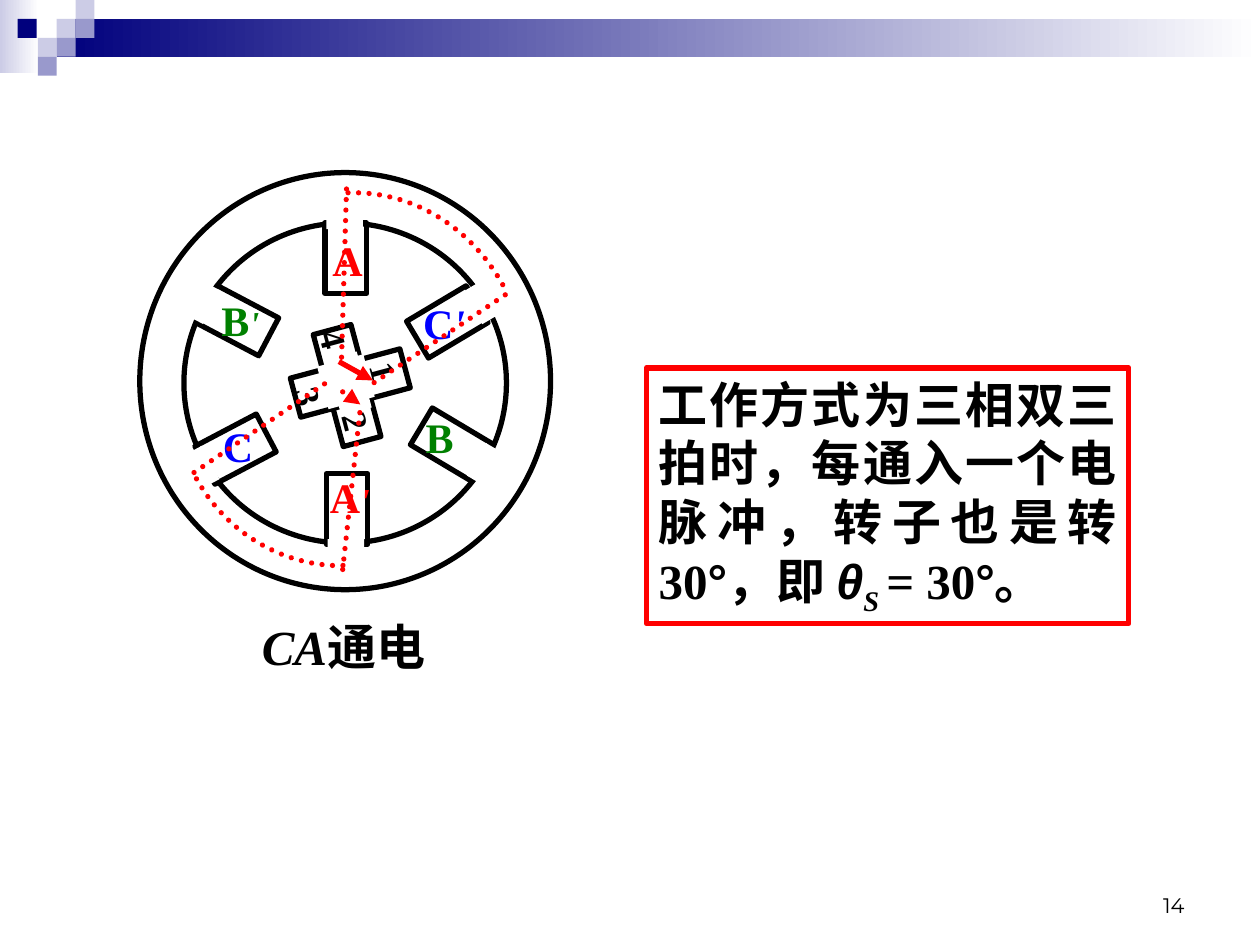
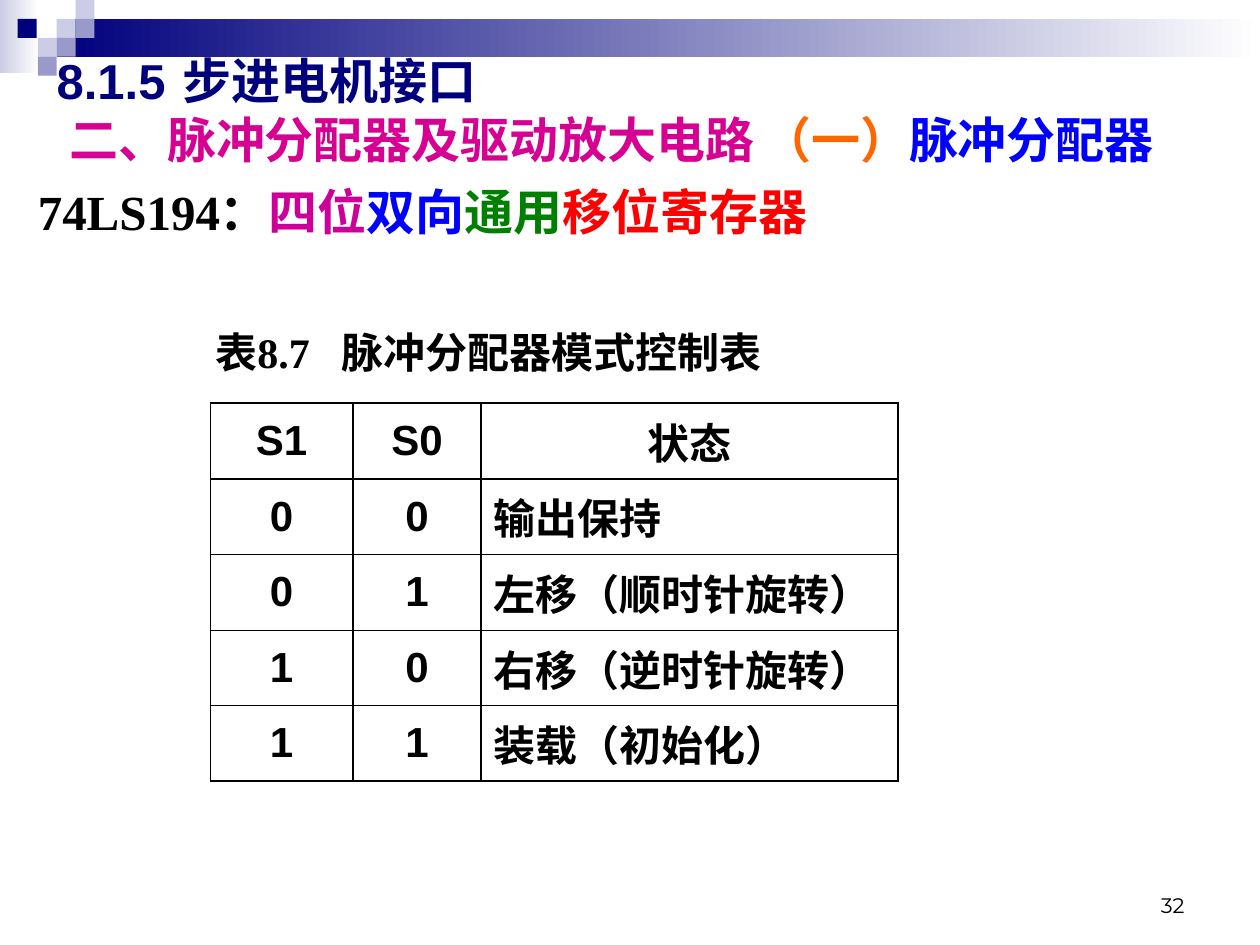
from dataclasses import dataclass

from lxml import etree
from pptx import Presentation
from pptx import util as u
from pptx.dml.color import RGBColor
from pptx.enum import dml, shapes, text
from pptx.oxml import ns

In = u.Inches
RECT = shapes.MSO_SHAPE.RECTANGLE
OVAL = shapes.MSO_SHAPE.OVAL


@dataclass(frozen=True)
class Theme:
    ink: str = "000000"
    paper: str = "FFFFFF"
    navy: str = "00007D"
    lilac: str = "9999CC"
    mist: str = "CCCCE6"
    red: str = "FF0000"
    blue: str = "0000FF"
    green: str = "008000"
    purple: str = "CC0099"
    magenta: str = "D60093"
    orange: str = "FF6600"
    serif: str = "Times New Roman"
    sans: str = "Arial"
    digits: str = "Montserrat"
    large: int = 28
    medium: int = 24
    small: int = 20
    footer: int = 12
    stroke: float = 3
    rule: float = 1.08
    hairline: float = 0.45


T = Theme()


def rgb(colour):
    return RGBColor.from_string(colour)


def child(parent, tag, **attributes):
    element = etree.SubElement(parent, ns.qn(tag))
    for key, value in attributes.items():
        element.set(key, str(value))
    return element


def bezier(start, ctrl1, ctrl2, end, steps=24):
    """Points along a cubic curve, both ends included."""
    points = []
    for step in range(steps + 1):
        t = step / steps
        weights = ((1 - t) ** 3, 3 * t * (1 - t) ** 2, 3 * t * t * (1 - t), t ** 3)
        points.append(tuple(sum(w * p[axis] for w, p in zip(weights, (start, ctrl1, ctrl2, end)))
                            for axis in (0, 1)))
    return points


class Deck:
    def __init__(self):
        self.prs = Presentation()
        self.prs.slide_width, self.prs.slide_height = In(10), In(7.5)
        self.slide = None

    def new_slide(self, layout, number):
        self.slide = self.prs.slides.add_slide(self.prs.slide_layouts[layout])
        self.band()
        self.textbox((7.17, 6.83, 2.33, 0.5), [(str(number), {})], size=T.footer,
                     font=T.digits, bold=False, align=text.PP_ALIGN.RIGHT,
                     anchor=text.MSO_ANCHOR.BOTTOM, wrap=True)

    def band(self):
        self.shape((0, 0, 0.31, 0.58), fill=(T.mist, T.paper))
        self.shape((0.45, 0.15, 9.55, 0.3), fill=(T.navy, T.paper))
        for left, top, colour in ((0.45, 0.15, T.mist), (0.6, 0, T.mist), (0.6, 0.15, T.lilac),
                                  (0.3, 0.3, T.mist), (0.14, 0.15, T.navy),
                                  (0.45, 0.3, T.lilac), (0.3, 0.45, T.lilac)):
            self.shape((left, top, 0.15, 0.15), fill=colour)

    def shape(self, box, kind=RECT, fill=None, line=None, rotation=0):
        """Add a preset shape; a pair of fill colours makes a left-to-right gradient."""
        shape = self.slide.shapes.add_shape(kind, *map(In, box))
        shape.shadow.inherit = False
        shape.rotation = rotation
        if fill is None:
            shape.fill.background()
        elif isinstance(fill, tuple):
            shape.fill.gradient()
            shape.fill.gradient_angle = 0
            for stop, colour, position in zip(shape.fill.gradient_stops, fill, (0, 1)):
                stop.color.rgb = rgb(colour)
                stop.position = position
        else:
            shape.fill.solid()
            shape.fill.fore_color.rgb = rgb(fill)
        if line:
            self.stroke(shape.line, line)
        else:
            shape.line.fill.background()
        return shape

    def stroke(self, line, colour, dotted=False):
        line.color.rgb = rgb(colour)
        line.width = u.Pt(T.stroke)
        if dotted:
            line.dash_style = dml.MSO_LINE.ROUND_DOT
            line._get_or_add_ln().set("cap", "rnd")

    def connector(self, start, end, dotted=True, arrow=False):
        link = self.slide.shapes.add_connector(shapes.MSO_CONNECTOR.STRAIGHT,
                                               *map(In, start + end))
        self.stroke(link.line, T.red, dotted)
        if arrow:
            child(link.line._get_or_add_ln(), "a:tailEnd", type="triangle")
        child(link._element.spPr, "a:effectLst")

    def dotted_arc(self, points):
        points = [(In(x), In(y)) for x, y in points]
        builder = self.slide.shapes.build_freeform(*points[0])
        builder.add_line_segments(points[1:], close=False)
        arc = builder.convert_to_shape()
        arc.shadow.inherit = False
        arc.fill.background()
        self.stroke(arc.line, T.red, dotted=True)

    def add_runs(self, paragraph, runs, size=T.large, font=T.serif, colour=T.ink, bold=True,
                 align=text.PP_ALIGN.LEFT, tab=None, indent=0):
        """Fill a paragraph; each run is (words, what differs from the base style)."""
        props = paragraph._p.get_or_add_pPr()
        props.set("marL", str(In(indent)))
        props.set("indent", "0")
        child(props, "a:buNone")
        if tab:
            child(child(props, "a:tabLst"), "a:tab", pos=In(tab), algn="l")
        paragraph.alignment = align
        paragraph.space_before = u.Pt(0)
        for words, change in runs:
            run = paragraph.add_run()
            run.text = words
            run.font.size = u.Pt(change.get("size", size))
            run.font.name = change.get("font", font)
            run.font.bold = bold
            run.font.italic = change.get("italic", False)
            run.font.color.rgb = rgb(change.get("colour", colour))
            if "baseline" in change:
                run._r.get_or_add_rPr().set("baseline", str(change["baseline"]))

    def textbox(self, box, runs, rotation=0, wrap=False, anchor=text.MSO_ANCHOR.TOP, **style):
        label = self.slide.shapes.add_textbox(*map(In, box))
        label.rotation = rotation
        frame = label.text_frame
        frame.word_wrap = wrap
        frame.vertical_anchor = anchor
        if anchor == text.MSO_ANCHOR.TOP:
            frame.auto_size = text.MSO_AUTO_SIZE.SHAPE_TO_FIT_TEXT
        self.add_runs(frame.paragraphs[0], runs, **style)

    def placeholder(self, index, box, paragraphs, anchor, **style):
        """Move a template placeholder and fill it with (runs, paragraph style) pairs."""
        holder = self.slide.placeholders[index]
        holder.left, holder.top, holder.width, holder.height = map(In, box)
        frame = holder.text_frame
        frame.auto_size = text.MSO_AUTO_SIZE.NONE
        frame.vertical_anchor = anchor
        for position, (runs, own) in enumerate(paragraphs):
            paragraph = frame.add_paragraph() if position else frame.paragraphs[0]
            self.add_runs(paragraph, runs, **style, **own)

    def table(self, box, widths, rows):
        grid = self.slide.shapes.add_table(len(rows), len(widths), *map(In, box)).table
        grid.first_row = grid.horz_banding = False
        for column, width in zip(grid.columns, widths):
            column.width = In(width)
        for r, row in enumerate(rows):
            grid.rows[r].height = In(box[3] / len(rows))
            for c, words in enumerate(row):
                cell = grid.cell(r, c)
                cell.vertical_anchor = text.MSO_ANCHOR.MIDDLE
                listed = r > 0 and c == len(row) - 1
                self.add_runs(cell.text_frame.paragraphs[0], [(words, {})], size=T.medium,
                              font=T.sans,
                              align=text.PP_ALIGN.LEFT if listed else text.PP_ALIGN.CENTER)
                above = T.rule if r < 2 else T.hairline
                below = T.rule if r in (0, len(rows) - 1) else T.hairline
                props = cell._tc.get_or_add_tcPr()
                for side, width in (("L", T.rule), ("R", T.rule), ("T", above), ("B", below)):
                    edge = child(props, f"a:ln{side}", w=u.Pt(width))
                    child(child(edge, "a:solidFill"), "a:srgbClr", val=T.ink)
                cell.fill.background()


def stator(deck):
    deck.shape((1.46, 1.77, 2.56, 2.54), OVAL, line=T.ink)
    deck.shape((1.11, 1.37, 3.26, 3.31), OVAL, line=T.ink)
    # Each pole: its outline, the white gap that opens it, the shared rotation
    poles = (((2.58, 1.77, 0.33, 0.56), (2.59, 1.59, 0.29, 0.23), 0),
             ((2.59, 3.76, 0.33, 0.56), (2.6, 4.28, 0.29, 0.23), 0),
             ((3.38, 2.28, 0.34, 0.55), (3.7, 2.27, 0.3, 0.23), 239.2),
             ((1.72, 2.27, 0.34, 0.55), (1.43, 2.27, 0.3, 0.23), 297.8),
             ((3.41, 3.25, 0.34, 0.55), (3.73, 3.59, 0.3, 0.23), 120.8),
             ((1.7, 3.29, 0.34, 0.55), (1.42, 3.61, 0.3, 0.23), 62.2))
    for pole, gap, rotation in poles:
        deck.shape(pole, line=T.ink, rotation=rotation)
        deck.shape(gap, fill=T.paper, rotation=rotation)
    for phase, prime_size, left, top, width, colour in (
            ("C", None, 1.67, 3.29, 0.43, T.blue), ("A", T.small, 2.52, 3.69, 0.52, T.red),
            ("B", None, 3.28, 3.22, 0.42, T.green), ("B", T.small, 1.66, 2.29, 0.5, T.green),
            ("C", T.medium, 3.26, 2.31, 0.53, T.blue), ("A", None, 2.54, 1.81, 0.44, T.red)):
        runs = [(phase, {})]
        if prime_size:
            runs.append(("'", {"size": prime_size, "italic": True}))
        deck.textbox((left, top, width, 0.5), runs, size=T.medium, colour=colour)


def rotor(deck):
    tilt = 75

    def tooth_number(digit, left, top):
        deck.textbox((left, top, 0.34, 0.44), [(digit, {})], rotation=tilt, size=T.small)

    deck.shape((2.62, 2.59, 0.32, 0.9), line=T.ink, rotation=tilt)
    deck.shape((2.6, 2.6, 0.31, 0.92), line=T.ink, rotation=tilt + 270)
    deck.shape((2.49, 3.07, 0.6, 0.21), fill=T.paper, rotation=tilt)
    deck.shape((2.54, 2.92, 0.46, 0.25), fill=T.paper, rotation=tilt)
    tooth_number("3", 2.28, 2.93)
    tooth_number("4", 2.48, 2.48)
    tooth_number("1", 2.88, 2.73)
    deck.shape((2.57, 2.84, 0.35, 0.38), fill=T.paper, rotation=tilt)
    tooth_number("2", 2.66, 3.13)


def flux_paths(deck):
    deck.dotted_arc(bezier((3.99, 2.26), (3.74, 1.81), (3.29, 1.53), (2.81, 1.53))
                    + [(2.72, 1.53)])
    deck.dotted_arc(bezier((1.56, 3.8), (1.8, 4.23), (2.24, 4.49), (2.71, 4.49))
                    + [(2.76, 4.48)])
    deck.connector((1.54, 3.75), (2.6, 3.03))
    deck.connector((2.72, 4.52), (2.86, 3.24))
    deck.connector((2.72, 3.11), (2.86, 3.21), arrow=True)
    deck.connector((2.69, 2.87), (2.96, 3.02), dotted=False, arrow=True)
    deck.connector((2.75, 1.5), (2.71, 2.87))
    deck.connector((4.01, 2.34), (2.92, 3.07))


def motor_slide(deck):
    deck.new_slide(6, 14)
    note = deck.shape((5.13, 2.92, 3.83, 2.03), line=T.red).text_frame
    note.word_wrap = True
    note.vertical_anchor = text.MSO_ANCHOR.TOP
    degree = ("°", {"font": T.sans})
    deck.add_runs(note.paragraphs[0], [
        ("工作方式为三相双三拍时，每通入一个电脉冲，转子也是转30", {}), degree, ("，即 ", {}),
        ("θ", {"font": T.sans, "italic": True}), ("S ", {"italic": True, "baseline": -25000}),
        ("= 30", {}), degree, ("。", {})], align=text.PP_ALIGN.JUSTIFY)
    deck.textbox((1.98, 4.84, 1.6, 0.57), [("CA", {"italic": True}), ("通电", {})],
                 align=text.PP_ALIGN.JUSTIFY, wrap=True)
    stator(deck)
    rotor(deck)
    flux_paths(deck)


def register_slide(deck):
    deck.new_slide(1, 32)
    deck.placeholder(1, (0.2, 1.39, 9.61, 5.91), [([
        ("74LS194：", {}), ("四位", {"colour": T.purple}), ("双向", {"colour": T.blue}),
        ("通用", {"colour": T.green}), ("移位寄存器", {"colour": T.red})], {})],
        text.MSO_ANCHOR.TOP)
    deck.placeholder(0, (0.35, 0.36, 9.37, 1.02), [
        ([("8.1.5\t步进电机接口", {})], {"tab": 1.18}),
        ([("二、脉冲分配器及驱动放大电路\t", {"colour": T.magenta}),
          ("（一）", {"colour": T.orange}), ("脉冲分配器", {"colour": T.blue})],
         {"tab": 5.79, "indent": 0.1})],
        text.MSO_ANCHOR.MIDDLE, font=T.sans, colour=T.navy)
    deck.table((1.67, 3.2, 5.46, 3), (1.13, 1.02, 3.31), (
        ("S1", "S0", "状态"), ("0", "0", "输出保持"), ("0", "1", "左移（顺时针旋转）"),
        ("1", "0", "右移（逆时针旋转）"), ("1", "1", "装载（初始化）")))
    deck.textbox((1.61, 2.54, 6.22, 0.5), [("表8.7\t脉冲分配器模式控制表", {})],
                 size=T.medium, tab=1.08, wrap=True)


def main():
    deck = Deck()
    motor_slide(deck)
    register_slide(deck)
    deck.prs.save("out.pptx")


if __name__ == "__main__":
    main()
